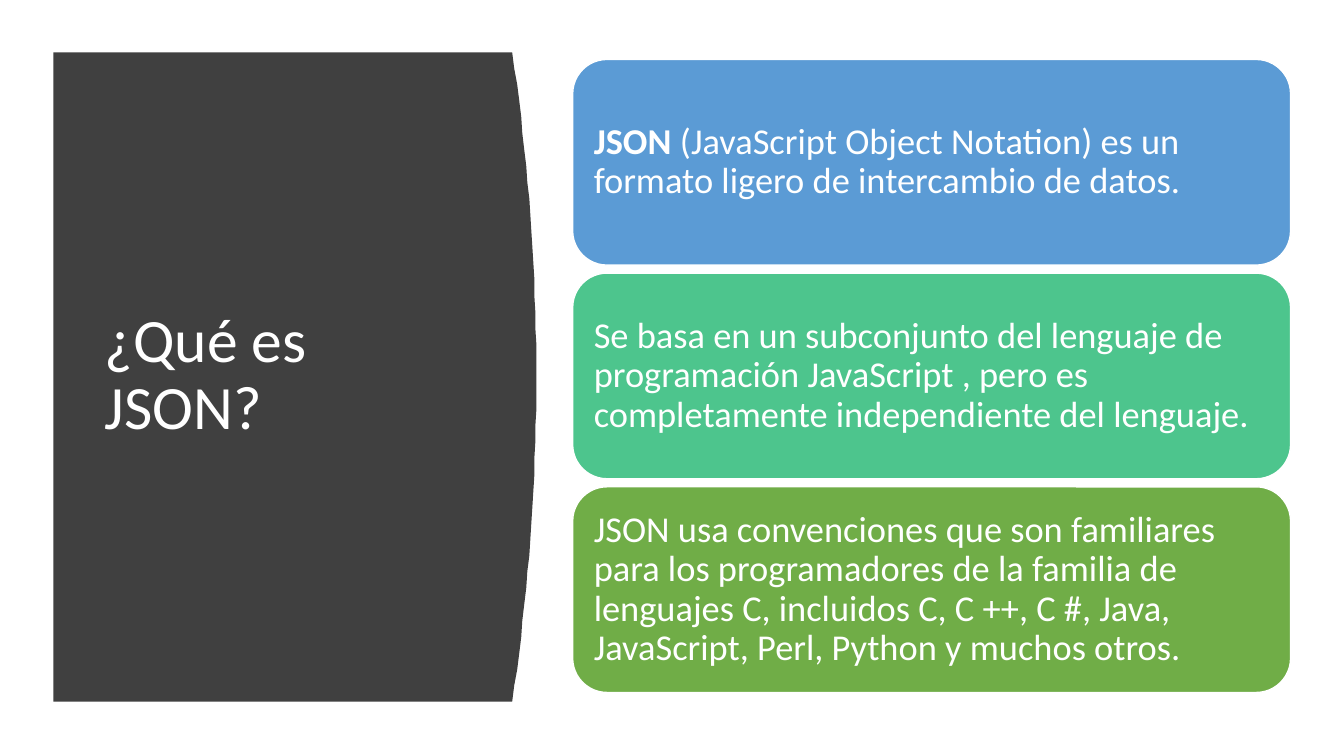
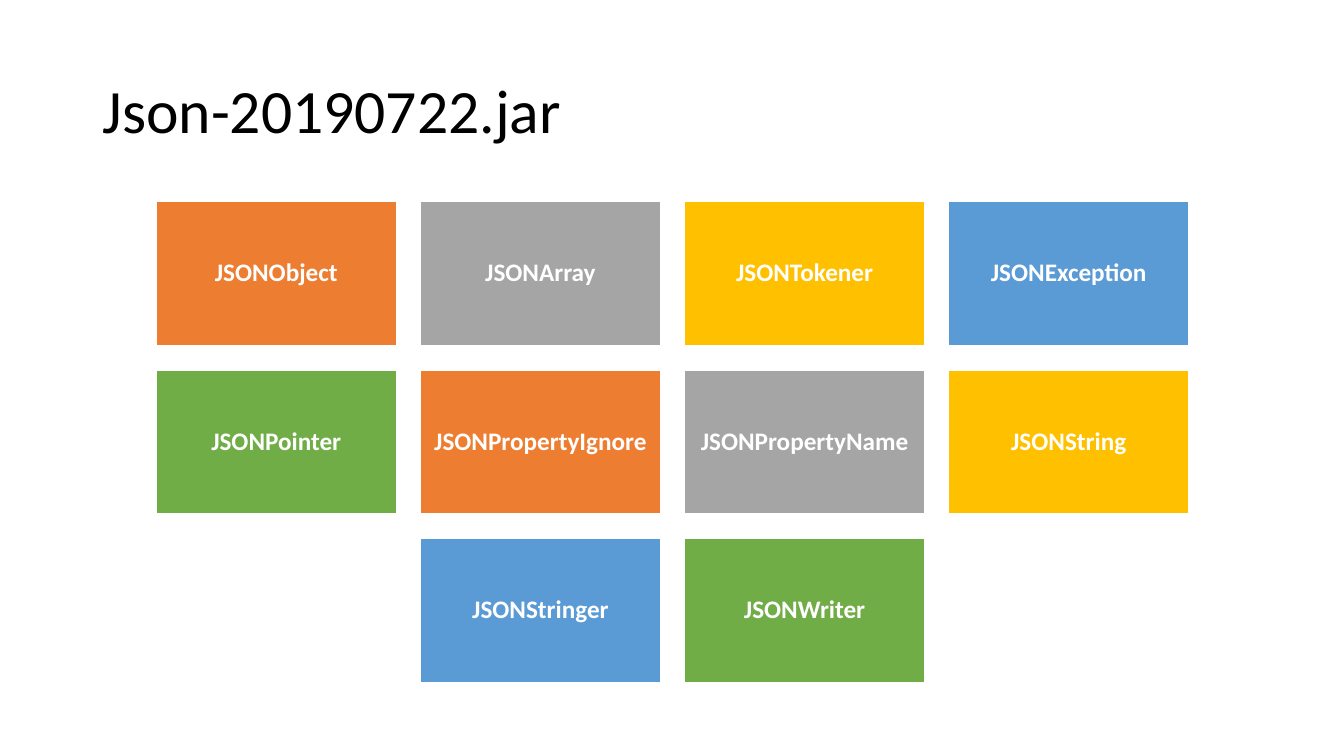
from pptx import Presentation
from pptx.dml.color import RGBColor
from pptx.enum import shapes, text
from pptx.util import Pt

PX = 9144
FONT = "Calibri"
WHITE, BLACK, DARK = "FFFFFF", "000000", "404040"
BLUE, MINT, GREEN = "5B9BD5", "4DC58D", "70AD47"
ORANGE, GREY, GOLD = "ED7D31", "A5A5A5", "FFC000"

CARDS = [
    (BLUE, [("JSON", True),
            (" (JavaScript Object Notation) es un formato ligero de "
             "intercambio de datos.", False)]),
    (MINT, [("Se basa en un subconjunto del lenguaje de programación "
             "JavaScript , pero es completamente independiente del "
             "lenguaje.", False)]),
    (GREEN, [("JSON usa convenciones que son familiares para los "
              "programadores de la familia de lenguajes C, incluidos C, "
              "C ++, C #, Java, JavaScript, Perl, Python y muchos otros.",
              False)]),
]
ROWS = [
    ["JSONObject", "JSONArray", "JSONTokener", "JSONException"],
    ["JSONPointer", "JSONPropertyIgnore", "JSONPropertyName", "JSONString"],
    ["JSONStringer", "JSONWriter"],
]
TILES = [ORANGE, GREY, GOLD, BLUE, GREEN]


def px(*vals):
    """Turn px lengths into EMU."""
    return [v * PX for v in vals]


def paint(part, color):
    """Set a solid colour on a fill."""
    part.solid()
    part.fore_color.rgb = RGBColor.from_string(color)


def write(shape, runs, size, color, align, inset):
    """Write one middle-anchored paragraph, run by run."""
    frame = shape.text_frame
    frame.word_wrap = True
    frame.vertical_anchor = text.MSO_ANCHOR.MIDDLE
    (frame.margin_left, frame.margin_top,
     frame.margin_right, frame.margin_bottom) = px(*inset)
    para = frame.paragraphs[0]
    para.alignment = align
    para.line_spacing = 0.9
    for words, bold in runs:
        run = para.add_run()
        run.text = words
        run.font.name = FONT
        run.font.size = Pt(size)
        run.font.bold = bold
        run.font.color.rgb = RGBColor.from_string(color)


def title(slide, words, box, color):
    """Add a slide title."""
    label = slide.shapes.add_textbox(*px(*box))
    write(label, [(words, False)], 44, color, text.PP_ALIGN.LEFT,
          (10, 5, 10, 5))


def block(slide, kind, box, fill, runs, size, align, pad):
    """Add a filled shape with a white edge and white text."""
    shape = slide.shapes.add_shape(kind, *px(*box))
    shape.shadow.inherit = False
    paint(shape.fill, fill)
    paint(shape.line.fill, WHITE)
    shape.line.width = Pt(1)
    write(shape, runs, size, WHITE, align, [pad] * 4)


def panel(slide, left, top, edge, low, bulge):
    """Add a dark panel whose right side is a shallow parabola."""
    half, steps = (low - top) / 2, 40
    curve = []
    for i in range(steps + 1):
        t = 2 * i / steps - 1
        curve.append((edge + bulge * (1 - t * t), top + half * (1 + t)))
    pen = slide.shapes.build_freeform(left, top, scale=PX)
    pen.add_line_segments(curve + [(left, low)], close=True)
    shape = pen.convert_to_shape()
    shape.shadow.inherit = False
    paint(shape.fill, DARK)
    shape.line.fill.background()


def cards(slide):
    """Stack the definition cards."""
    high, gap = 204, 8
    for i, (fill, runs) in enumerate(CARDS):
        box = (568, 59 + i * (high + gap), 712, high)
        block(slide, shapes.MSO_SHAPE.ROUNDED_RECTANGLE, box, fill, runs,
              26, text.PP_ALIGN.LEFT, 11)


def tiles(slide):
    """Lay out centred rows of class names with cycling colours."""
    wide, high, gap, mid = 238, 143, 24, 667
    count = 0
    for r, row in enumerate(ROWS):
        left = mid - (len(row) * (wide + gap) - gap) // 2
        for c, name in enumerate(row):
            box = (left + c * (wide + gap), 200 + r * (high + gap), wide, high)
            block(slide, shapes.MSO_SHAPE.RECTANGLE, box,
                  TILES[count % len(TILES)], [(name, True)], 18,
                  text.PP_ALIGN.CENTER, 7)
            count += 1


def main():
    """Build and save both slides."""
    deck = Presentation()
    deck.slide_width, deck.slide_height = px(1333, 750)
    blank = deck.slide_layouts[6]

    intro = deck.slides.add_slide(blank)
    panel(intro, 53, 52, 508, 696, 24)
    title(intro, "¿Qué es JSON?", (94, 111, 374, 524), WHITE)
    cards(intro)

    jar = deck.slides.add_slide(blank)
    title(jar, "Json-20190722.jar", (92, 40, 1150, 145), BLACK)
    tiles(jar)

    deck.save("out.pptx")


if __name__ == "__main__":
    main()
